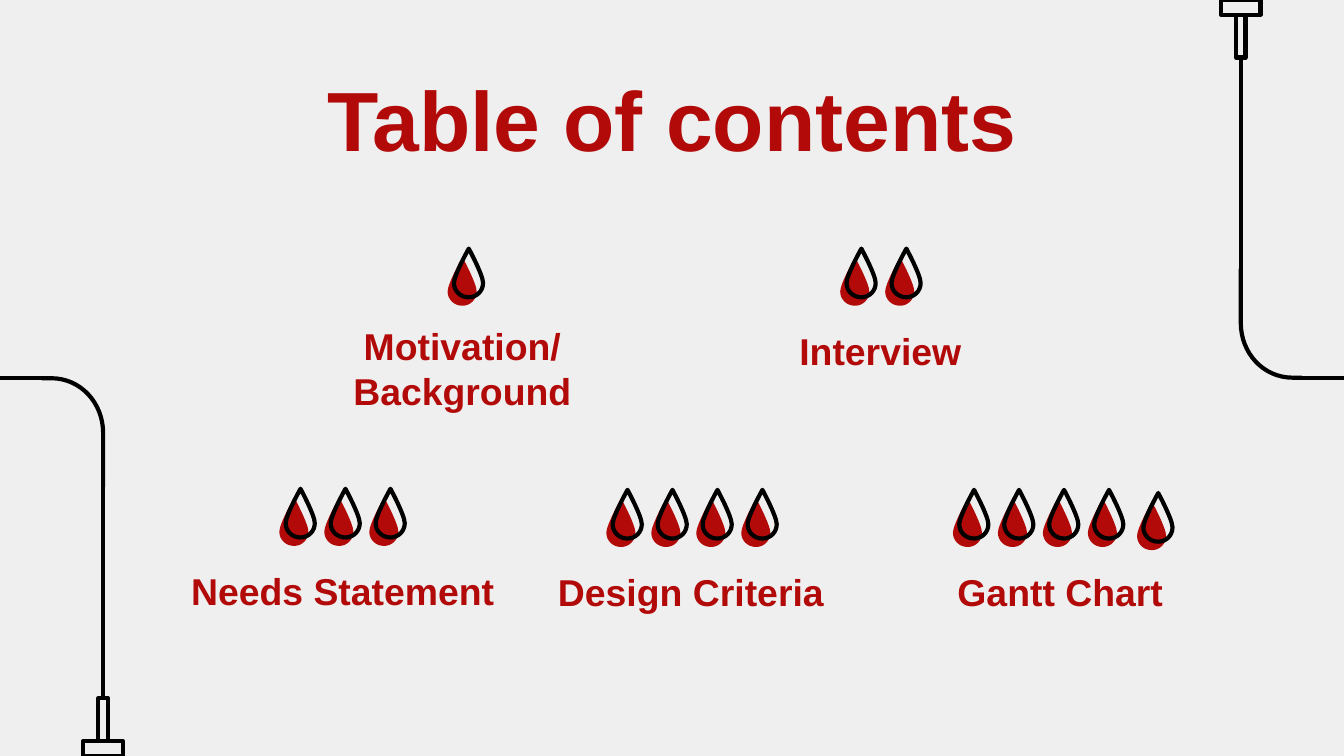
from lxml import etree
from pptx import Presentation
from pptx import util as u
from pptx.dml.color import RGBColor
from pptx.enum import shapes, text
from pptx.oxml.ns import qn

COLORS = {"paper": "EFEFEF", "blood": "B20909", "ink": "000000"}
FONT = "Arial"
WIDTH, HEIGHT = 25.4, 14.29

TITLE = "Table of contents"
# label, label left and top, runs of drops as (left, top, count)
SECTIONS = [
    ("Motivation/\nBackground", 4.24, 6.81, [(8.46, 4.86, 1)]),
    ("Interview", 12.14, 6.07, [(15.88, 4.86, 2)]),
    ("Needs Statement", 1.98, 10.59, [(5.28, 9.4, 3)]),
    ("Design Criteria", 8.56, 10.62, [(11.46, 9.42, 4)]),
    ("Gantt Chart", 15.54, 10.62, [(18.01, 9.42, 4), (21.49, 9.48, 1)]),
]
LABEL_W, LABEL_H = 9, 1.24
DROP_STEP = 0.85
OUTLINE_DX, OUTLINE_DY = 0.12, -0.16

# Curves in cm: a start, then two controls and an end for each curve
DROP = [
    (0.28, 0),
    (0.28, 0), (0, 0.5), (0, 0.65),
    (0, 0.8), (0.12, 0.92), (0.28, 0.92),
    (0.43, 0.92), (0.55, 0.8), (0.55, 0.65),
    (0.55, 0.5), (0.28, 0), (0.28, 0),
]
TUBE_X, TUBE_Y = 23.45, 7.14
TUBE_BEND = [
    (TUBE_X, 5.08),
    (TUBE_X, 5.08), (TUBE_X, 6.1), (TUBE_X, 6.1),
    (TUBE_X, 6.68), (23.88, TUBE_Y), (24.43, TUBE_Y),
    (24.43, TUBE_Y), (24.61, TUBE_Y), (24.61, TUBE_Y),
]
TUBE_LINES = [((24.51, TUBE_Y), (WIDTH, TUBE_Y)), ((TUBE_X, 5.18), (TUBE_X, 1.07))]
TUBE_FITTINGS = [(0, 0.75, 0.28), (0.28, 0.18, 0.81)]  # top, width, height


def color(name):
    return RGBColor.from_string(COLORS[name])


def ink_line(item):
    item.line.color.rgb = color("ink")
    item.line.width = u.Pt(2.25)
    etree.SubElement(item.line._get_or_add_ln(), qn("a:round"))


def paint(shape, fill=None):
    """Fill without line, or line without fill."""
    if fill:
        shape.fill.solid()
        shape.fill.fore_color.rgb = color(fill)
        shape.line.fill.background()
    else:
        shape.fill.background()
        ink_line(shape)
    shape.shadow.inherit = False


def add_curve(slide, points, close=True, fill=None):
    """Freeform whose segments are joined by threes into cubic curves."""
    points = [(u.Cm(x), u.Cm(y)) for x, y in points]
    builder = slide.shapes.build_freeform(*points[0], scale=1.0)
    builder.add_line_segments(points[1:], close=close)
    shape = builder.convert_to_shape()
    segments = list(shape._element.iter(qn("a:lnTo")))
    for i in range(0, len(segments), 3):
        curve = etree.Element(qn("a:cubicBezTo"))
        segments[i].addprevious(curve)
        for segment in segments[i:i + 3]:
            curve.append(segment[0])
            segment.getparent().remove(segment)
    paint(shape, fill)


def add_drops(slide, left, top, count):
    for dx, dy, fill in ((0, 0, "blood"), (OUTLINE_DX, OUTLINE_DY, None)):
        for i in range(count):
            x0 = left + i * DROP_STEP + dx
            add_curve(slide, [(x0 + x, top + dy + y) for x, y in DROP], fill=fill)


def add_tube(slide, turned):
    """Tube in the top right corner, or turned half round into the bottom left."""
    def place(x, y):
        return (WIDTH - x, HEIGHT - y) if turned else (x, y)

    for top, width, height in TUBE_FITTINGS:
        x, y = place(TUBE_X, top + height / 2)
        fitting = slide.shapes.add_shape(
            shapes.MSO_SHAPE.RECTANGLE, u.Cm(x - width / 2), u.Cm(y - height / 2),
            u.Cm(width), u.Cm(height))
        paint(fitting)
    add_curve(slide, [place(*point) for point in TUBE_BEND], close=False)
    for start, end in TUBE_LINES:
        ends = [u.Cm(value) for point in (start, end) for value in place(*point)]
        tube = slide.shapes.add_connector(shapes.MSO_CONNECTOR.STRAIGHT, *ends)
        ink_line(tube)
        etree.SubElement(tube._element.spPr, qn("a:effectLst"))


def add_text(slide, words, left, top, width, height, size, anchor):
    frame = slide.shapes.add_textbox(*map(u.Cm, (left, top, width, height))).text_frame
    frame.word_wrap = True
    frame.vertical_anchor = anchor
    frame.margin_left = frame.margin_right = u.Cm(0.25)
    frame.margin_top = frame.margin_bottom = u.Cm(0.25)
    frame.text = words
    for paragraph in frame.paragraphs:
        paragraph.alignment = text.PP_ALIGN.CENTER
        paragraph.font.name = FONT
        paragraph.font.size = u.Pt(size)
        paragraph.font.bold = True
        paragraph.font.color.rgb = color("blood")


def main():
    deck = Presentation()
    deck.slide_width, deck.slide_height = u.Cm(WIDTH), u.Cm(HEIGHT)
    slide = deck.slides.add_slide(deck.slide_layouts[6])
    slide.background.fill.solid()
    slide.background.fill.fore_color.rgb = color("paper")

    for turned in (True, False):
        add_tube(slide, turned)
    add_text(slide, TITLE, left=1.98, top=1.02, width=21.44, height=2.29,
             size=45, anchor=text.MSO_ANCHOR.TOP)
    for label, left, top, drop_runs in SECTIONS:
        add_text(slide, label, left=left, top=top, width=LABEL_W, height=LABEL_H,
                 size=20, anchor=text.MSO_ANCHOR.BOTTOM)
        for run in drop_runs:
            add_drops(slide, *run)
    deck.save("out.pptx")


if __name__ == "__main__":
    main()
